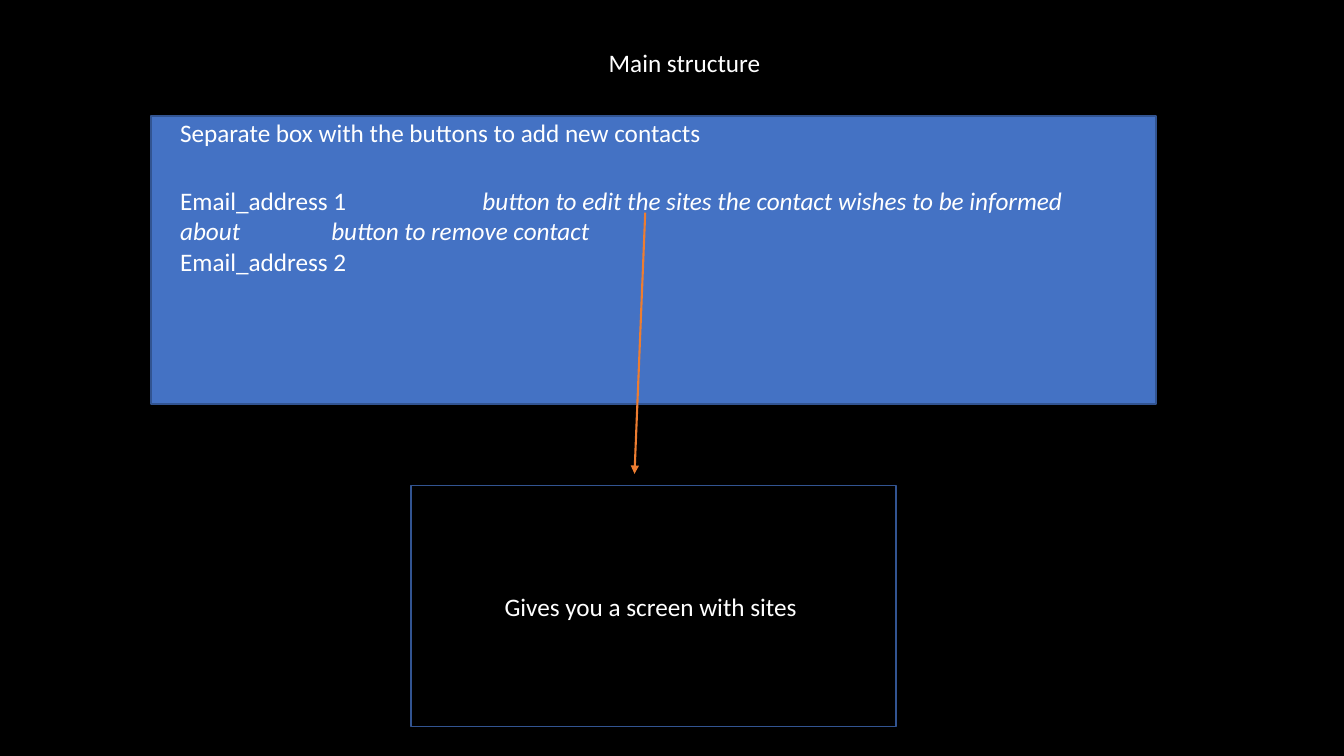
from dataclasses import dataclass

from lxml import etree
from pptx import Presentation
from pptx.dml.color import RGBColor
from pptx.enum.shapes import MSO_CONNECTOR, MSO_SHAPE
from pptx.enum.text import MSO_ANCHOR, PP_ALIGN
from pptx.oxml.ns import qn
from pptx.util import Cm, Pt

RECT = MSO_SHAPE.RECTANGLE
STRAIGHT = MSO_CONNECTOR.STRAIGHT
LEFT, CENTER = PP_ALIGN.LEFT, PP_ALIGN.CENTER
TOP, MIDDLE = MSO_ANCHOR.TOP, MSO_ANCHOR.MIDDLE


@dataclass(frozen=True)
class Theme:
    """Colours, font and sizes of the slide."""
    background: RGBColor = RGBColor(0x00, 0x00, 0x00)
    text: RGBColor = RGBColor(0xFF, 0xFF, 0xFF)
    panel: RGBColor = RGBColor(0x44, 0x72, 0xC4)
    border: RGBColor = RGBColor(0x32, 0x54, 0x91)
    arrow: RGBColor = RGBColor(0xED, 0x7D, 0x31)
    font: str = "Calibri"
    size: Pt = Pt(18)
    border_width: Pt = Pt(1)
    arrow_width: Pt = Pt(1.5)


theme = Theme()


def write(sp, paragraphs, align=LEFT, anchor=TOP):
    """Fill a shape with paragraphs, each a list of (text, italic) runs."""
    tf = sp.text_frame
    tf.word_wrap = True
    tf.vertical_anchor = anchor
    for i, runs in enumerate(paragraphs):
        p = tf.paragraphs[0] if i == 0 else tf.add_paragraph()
        p.alignment = align
        for text, italic in runs:
            r = p.add_run()
            r.text = text
            r.font.name = theme.font
            r.font.size = theme.size
            r.font.italic = italic
            r.font.color.rgb = theme.text


def add_box(s, left, top, width, height, fill=None):
    """Add a bordered rectangle, filled or hollow; lengths in cm."""
    sp = s.shapes.add_shape(RECT, Cm(left), Cm(top), Cm(width), Cm(height))
    sp.shadow.inherit = False
    if fill is None:
        sp.fill.background()
    else:
        sp.fill.solid()
        sp.fill.fore_color.rgb = fill
    sp.line.color.rgb = theme.border
    sp.line.width = theme.border_width
    return sp


prs = Presentation()
prs.slide_width, prs.slide_height = Cm(33.87), Cm(19.05)
s = prs.slides.add_slide(prs.slide_layouts[6])
s.background.fill.solid()
s.background.fill.fore_color.rgb = theme.background

# Title
title = s.shapes.add_textbox(Cm(15.09), Cm(1.07), Cm(5.41), Cm(1.02))
write(title, [[("Main structure", False)]])

# Contacts panel with its list and heading
add_box(s, 3.81, 2.92, 25.32, 7.26, theme.panel)

contacts = s.shapes.add_textbox(Cm(4.29), Cm(4.55), Cm(23.72), Cm(3.33))
write(contacts, [
    [("Email_address 1\t", False),
     ("button to edit the sites the contact wishes to be informed about"
      "\tbutton to remove contact", True)],
    [("Email_address 2", False)],
])
pPr = contacts.text_frame.paragraphs[0]._p.get_or_add_pPr()
tabs = etree.SubElement(pPr, qn("a:tabLst"))
for stop in (3.81, 7.62):
    etree.SubElement(tabs, qn("a:tab"), pos=str(Cm(stop)), algn="l")

heading = s.shapes.add_textbox(Cm(4.29), Cm(2.84), Cm(23.72), Cm(1.02))
write(heading, [[("Separate box with the buttons to add new contacts", False)]])

# Arrow from the edit button to the sites screen
arrow = s.shapes.add_connector(STRAIGHT, Cm(16.26), Cm(5.36), Cm(15.99), Cm(11.94))
arrow.line.color.rgb = theme.arrow
arrow.line.width = theme.arrow_width
etree.SubElement(arrow.line._get_or_add_ln(), qn("a:tailEnd"), type="triangle")
etree.SubElement(arrow._element.spPr, qn("a:effectLst"))

# Sites screen
screen = add_box(s, 10.36, 12.24, 12.22, 6.07)
write(screen, [[("Gives you a screen with sites ", False)]], CENTER, MIDDLE)

prs.save("out.pptx")
